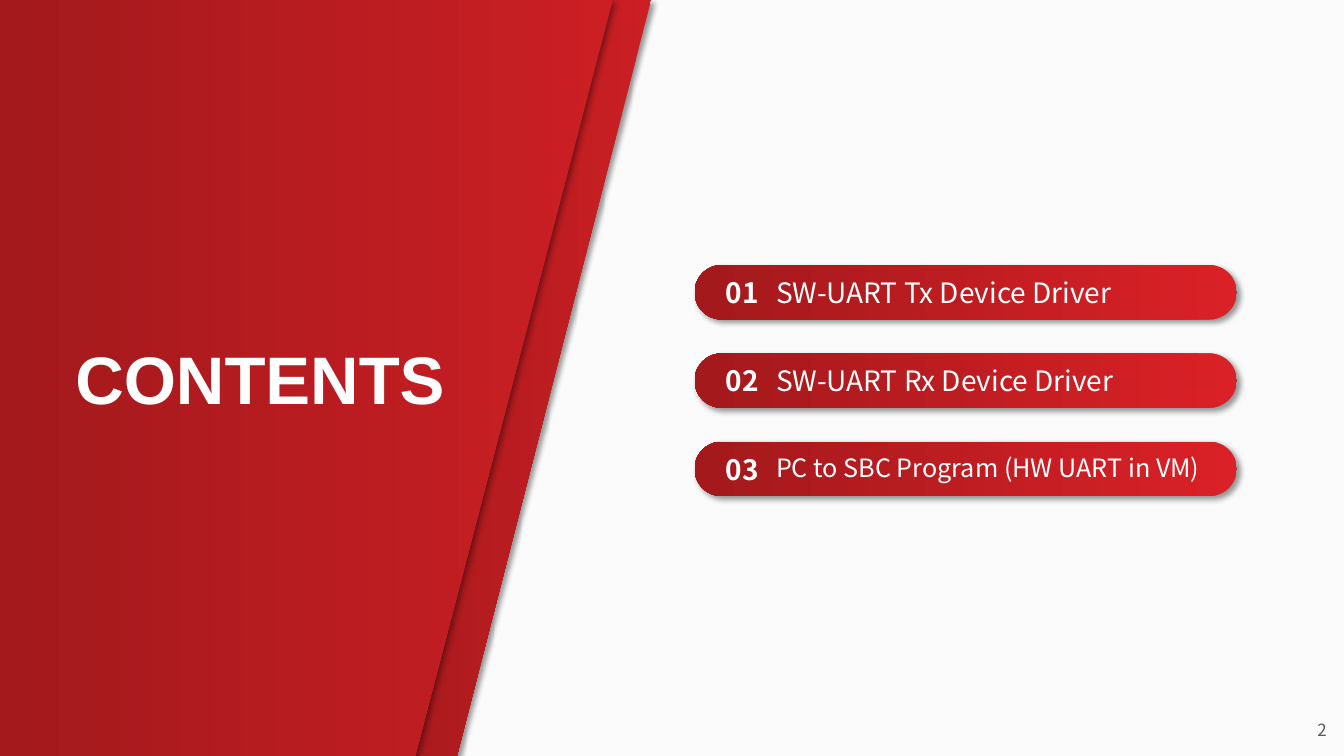
"""Build the contents slide: a slanted red title panel and three numbered pills."""
from lxml import etree
from pptx import Presentation
from pptx.dml.color import RGBColor as Color
from pptx.enum.shapes import MSO_SHAPE as Preset
from pptx.enum.text import MSO_AUTO_SIZE as AutoSize, PP_ALIGN as Align
from pptx.oxml.ns import qn
from pptx.util import Inches, Pt

THEME = {
    "page": "FBFBFB", "white": "FFFFFF", "gray": "595959", "shadow": "000000",
    "dark": "A3191C", "panel": "CB1F24", "pill": "DA2127",
    "body": "Noto Sans CJK KR", "display": "Arial",
    "title": 48, "item": 20, "small_item": 18, "footer": 12,
}
CELL = Inches(0.1)
COLUMNS, ROWS = 133.33, 75


def add_text(shapes, text, left, top, width, height, size="item", font="body",
             color="white", bold=False, align=Align.LEFT):
    """Add one line of text, placed in grid cells."""
    box = shapes.add_textbox(*(int(n * CELL) for n in (left, top, width, height)))
    frame = box.text_frame
    frame.word_wrap = True
    frame.auto_size = AutoSize.SHAPE_TO_FIT_TEXT
    para = frame.paragraphs[0]
    para.alignment = align
    span = para.add_run()
    span.text = text
    span.font.name = THEME[font]
    span.font.size = Pt(THEME[size])
    span.font.bold = bold
    span.font.color.rgb = Color.from_string(THEME[color])


def paint(shape, bright):
    """Fill a shape from dark on the left to bright on the right, with a shadow."""
    shape.line.fill.background()
    shape.fill.gradient()
    shape.fill.gradient_angle = 180
    for stop, name, position in zip(shape.fill.gradient_stops, (bright, "dark"), (0, 1)):
        stop.color.rgb = Color.from_string(THEME[name])
        stop.position = position
    shape.shadow.inherit = False
    effects = shape._element.spPr.find(qn("a:effectLst"))
    shadow = etree.SubElement(effects, qn("a:outerShdw"), blurRad=str(Pt(4)),
                              dist=str(Pt(3)), dir="2700000", algn="tl", rotWithShape="0")
    tone = etree.SubElement(shadow, qn("a:srgbClr"), val=THEME["shadow"])
    etree.SubElement(tone, qn("a:alpha"), val="40000")


deck = Presentation()
deck.slide_width, deck.slide_height = int(COLUMNS * CELL), ROWS * CELL
page = deck.slides.add_slide(deck.slide_layouts[6])
page.background.fill.solid()
page.background.fill.fore_color.rgb = Color.from_string(THEME["page"])

ITEMS = [
    ("SW-UART Tx Device Driver", "item"),
    ("SW-UART Rx Device Driver", "item"),
    ("PC to SBC Program (HW UART in VM)", "small_item"),
]
for index, (label, size) in enumerate(ITEMS):
    top = 26.3 + index * 8.76
    group = page.shapes.add_group_shape()
    pill = group.shapes.add_shape(
        Preset.ROUNDED_RECTANGLE, *(int(n * CELL) for n in (68.9, top, 53.8, 5.4)))
    pill.adjustments[0] = 0.5
    paint(pill, "pill")
    add_text(group.shapes, label, 76, top + 0.55, 52.5, 4.4, size=size)
    add_text(group.shapes, f"{index + 1:02}", 71, top + 0.55, 26.9, 4.4, bold=True)

stripe = page.shapes.add_shape(
    Preset.PARALLELOGRAM, *(int(n * CELL) for n in (35.6, 0, 29, ROWS)))
stripe.adjustments[0] = 0.664
paint(stripe, "panel")

outline = page.shapes.build_freeform(-2, 0, scale=CELL / 10)
outline.add_line_segments([(608, 0), (412, ROWS * 10), (-2, ROWS * 10)], close=True)
paint(outline.convert_to_shape(), "panel")

add_text(page.shapes, "CONTENTS", 2.4, 33, 46.8, 9.1, size="title",
         font="display", bold=True, align=Align.CENTER)
add_text(page.shapes, "2", 116.6, 70.9, 16, 3, size="footer", color="gray",
         align=Align.RIGHT)

deck.save("out.pptx")
